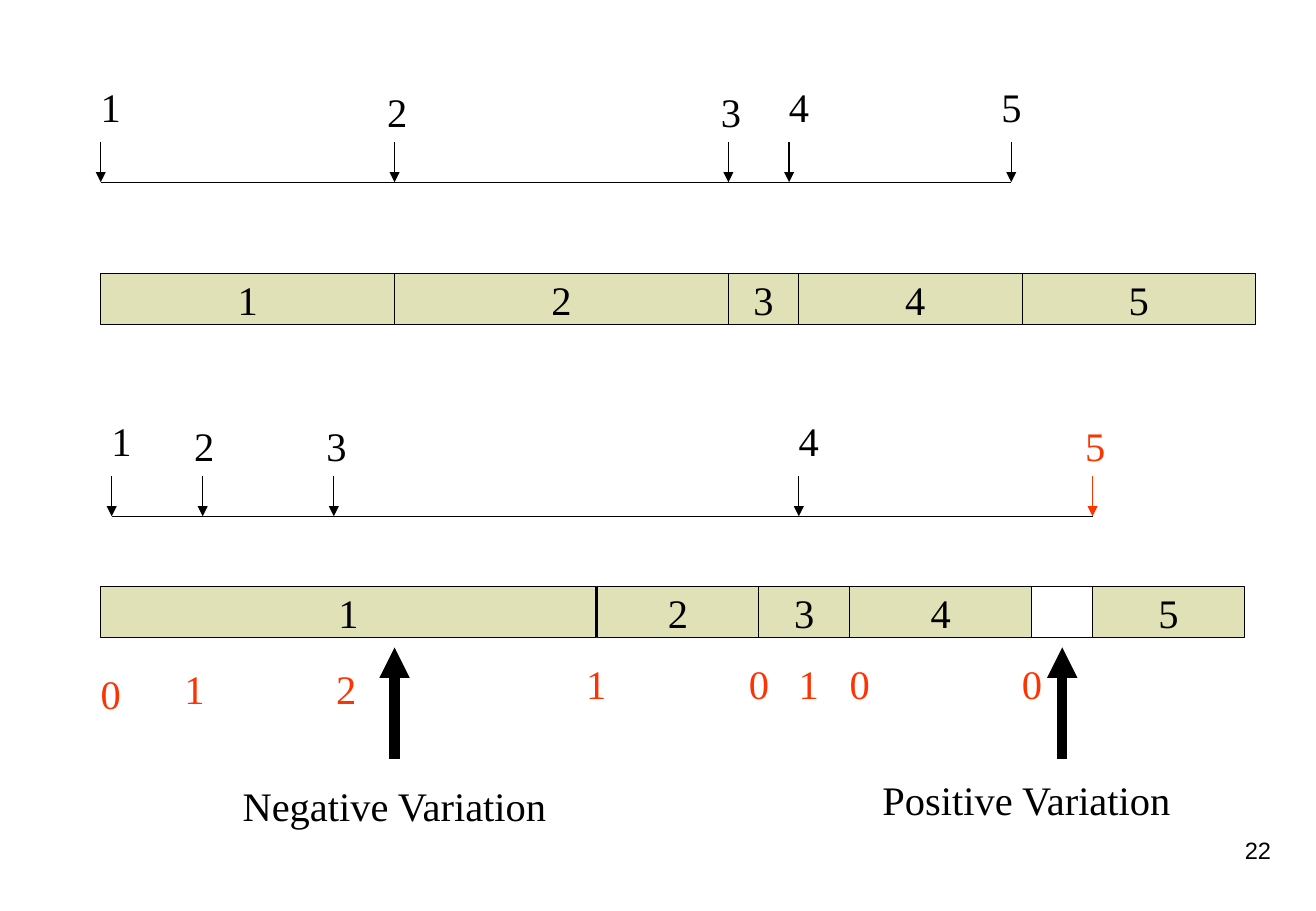
from lxml import etree
from pptx import Presentation
from pptx.dml.color import RGBColor
from pptx.enum.shapes import MSO_CONNECTOR, MSO_SHAPE
from pptx.enum.text import MSO_ANCHOR, PP_ALIGN
from pptx.oxml.ns import qn
from pptx.util import Inches, Pt

STRAIGHT = MSO_CONNECTOR.STRAIGHT
RECTANGLE = MSO_SHAPE.RECTANGLE
MIDDLE = MSO_ANCHOR.MIDDLE
LEFT, CENTER, RIGHT = PP_ALIGN.LEFT, PP_ALIGN.CENTER, PP_ALIGN.RIGHT

BLACK = RGBColor(0x00, 0x00, 0x00)
RED = RGBColor(0xFF, 0x33, 0x00)
KHAKI = RGBColor(0xE1, 0xE1, 0xB7)

SERIF, SANS = "Times New Roman", "Arial"
LABEL_WIDTH, LABEL_HEIGHT = 0.36, 0.5
ARROW_LENGTH = 0.33
BAR_HEIGHT = 0.42
HIGH, LOW = 0.54, 0.5  # how far a label starts above its arrow

# label, arrow position along the line, label shift, label rise, colour
ARRIVALS_EVEN = [
    ("1", 0, -0.1, HIGH, BLACK),
    ("2", 2.42, -0.16, LOW, BLACK),
    ("3", 5.17, -0.16, LOW, BLACK),
    ("4", 5.67, -0.1, HIGH, BLACK),
    ("5", 7.5, -0.18, HIGH, BLACK),
]
ARRIVALS_BUNCHED = [
    ("1", 0, -0.1, HIGH, BLACK),
    ("2", 0.75, -0.17, LOW, BLACK),
    ("3", 1.83, -0.16, LOW, BLACK),
    ("4", 5.66, -0.1, HIGH, BLACK),
    ("5", 8.08, -0.16, LOW, RED),
]
# label, start along the bar, width; an empty label is idle time
SERVICE_EVEN = [("1", 0, 2.42), ("2", 2.42, 2.75), ("3", 5.17, 0.58),
                ("4", 5.75, 1.92), ("5", 7.59, 1.92)]
SERVICE_BUNCHED = [("1", 0, 4.08), ("2", 4.09, 1.33), ("3", 5.42, 0.75),
                   ("4", 6.17, 1.5), ("", 7.67, 0.5), ("5", 8.17, 1.25)]
# queue length, left, drop
QUEUE_LENGTHS = [("0", 0, 0.08), ("1", 0.69, 0.04), ("2", 1.94, 0.04),
                 ("1", 4, 0), ("0", 5.34, 0), ("1", 5.75, 0),
                 ("0", 6.17, 0), ("0", 7.59, 0)]


def write(shape, text, color=BLACK, font=SERIF, size=24, align=LEFT):
    frame = shape.text_frame
    frame.word_wrap = False
    frame.text = text
    para = frame.paragraphs[0]
    para.alignment = align
    span_font = para.runs[0].font
    span_font.name, span_font.size = font, Pt(size)
    span_font.color.rgb = color


def add_label(page, text, left, top, width=LABEL_WIDTH, **style):
    box = page.shapes.add_textbox(Inches(left), Inches(top),
                                  Inches(width), Inches(LABEL_HEIGHT))
    write(box, text, **style)


def add_line(page, start, end, color=BLACK, weight=0.75, arrow=False):
    line = page.shapes.add_connector(
        STRAIGHT, *(Inches(length) for length in (*start, *end)))
    line.line.color.rgb = color
    line.line.width = Pt(weight)
    if arrow:
        outline = line.line._get_or_add_ln()
        etree.SubElement(outline, qn("a:tailEnd"), type="triangle")
    etree.SubElement(line._element.spPr, qn("a:effectLst"))


def add_timeline(page, left, top, arrivals):
    """Draw a base line with labelled arrows; top is where the arrows start."""
    base = top + ARROW_LENGTH
    add_line(page, (left, base), (left + arrivals[-1][1], base))
    for text, offset, shift, rise, color in arrivals:
        x = left + offset
        add_line(page, (x, top), (x, base), color, arrow=True)
        add_label(page, text, x + shift, top - rise, color=color)


def add_service_bar(page, left, top, services):
    for text, offset, width in services:
        cell = page.shapes.add_shape(RECTANGLE, Inches(left + offset), Inches(top),
                                     Inches(width), Inches(BAR_HEIGHT))
        cell.shadow.inherit = False
        cell.line.color.rgb = BLACK
        cell.line.width = Pt(0.75)
        if text:
            cell.fill.solid()
            cell.fill.fore_color.rgb = KHAKI
            cell.text_frame.vertical_anchor = MIDDLE
            write(cell, text, align=CENTER)
        else:
            cell.fill.background()


def add_queue_lengths(page, left, top):
    for text, offset, drop in QUEUE_LENGTHS:
        add_label(page, text, left + offset, top + drop, color=RED)


def add_variation(page, text, x, top, text_left, text_top, text_width):
    """Draw a thick upward arrow with its tip at (x, top) and a caption."""
    add_line(page, (x, top + 0.92), (x, top), weight=6, arrow=True)
    add_label(page, text, text_left, text_top, text_width)


def main():
    deck = Presentation()
    deck.slide_width, deck.slide_height = Inches(10.84), Inches(7.5)
    page = deck.slides.add_slide(deck.slide_layouts[6])

    add_timeline(page, 0.83, 1.17, ARRIVALS_EVEN)
    add_service_bar(page, 0.83, 2.25, SERVICE_EVEN)
    add_timeline(page, 0.92, 3.92, ARRIVALS_BUNCHED)
    add_service_bar(page, 0.83, 4.83, SERVICE_BUNCHED)
    add_queue_lengths(page, 0.73, 5.38)
    add_variation(page, "Negative Variation", 3.25, 5.33, 1.9, 6.38, 2.74)
    add_variation(page, "Positive Variation", 8.75, 5.33, 7.17, 6.33, 2.61)
    add_label(page, "22", 8.31, 6.83, 2.26, font=SANS, size=14, align=RIGHT)

    deck.save("out.pptx")


if __name__ == "__main__":
    main()
